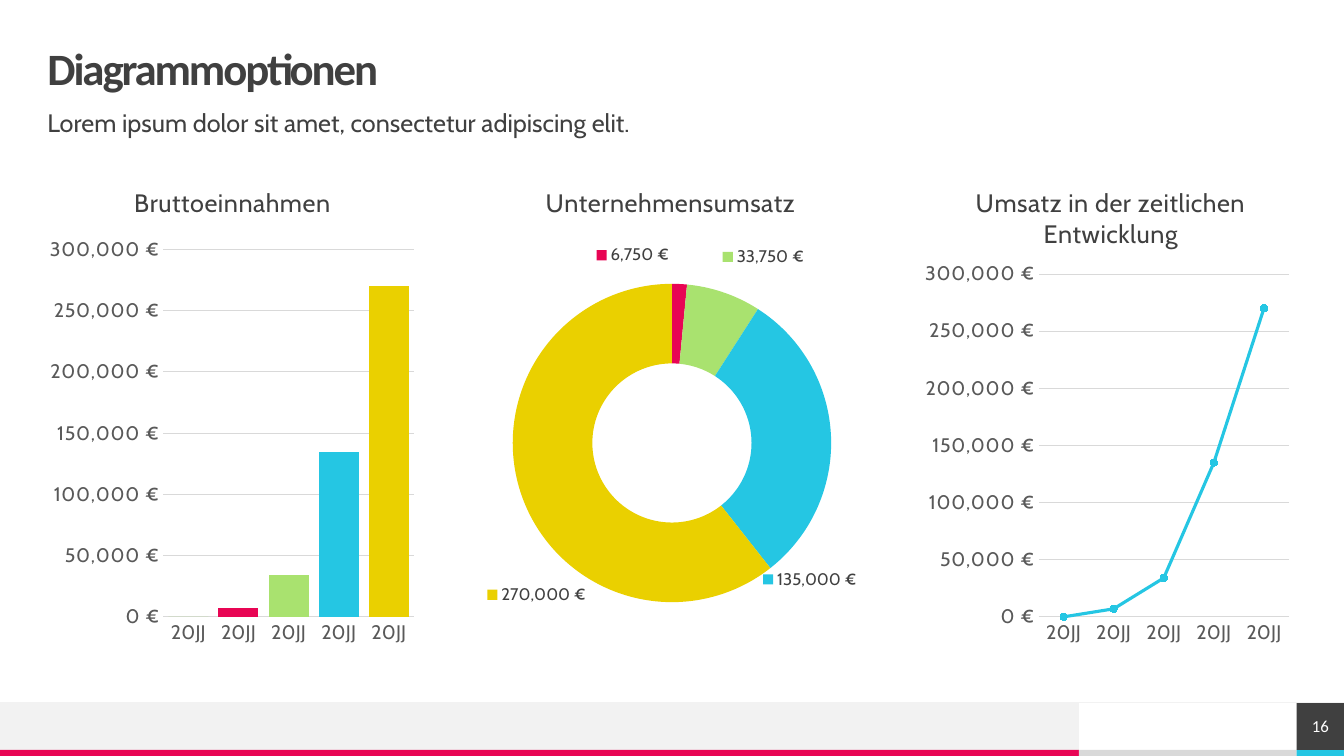
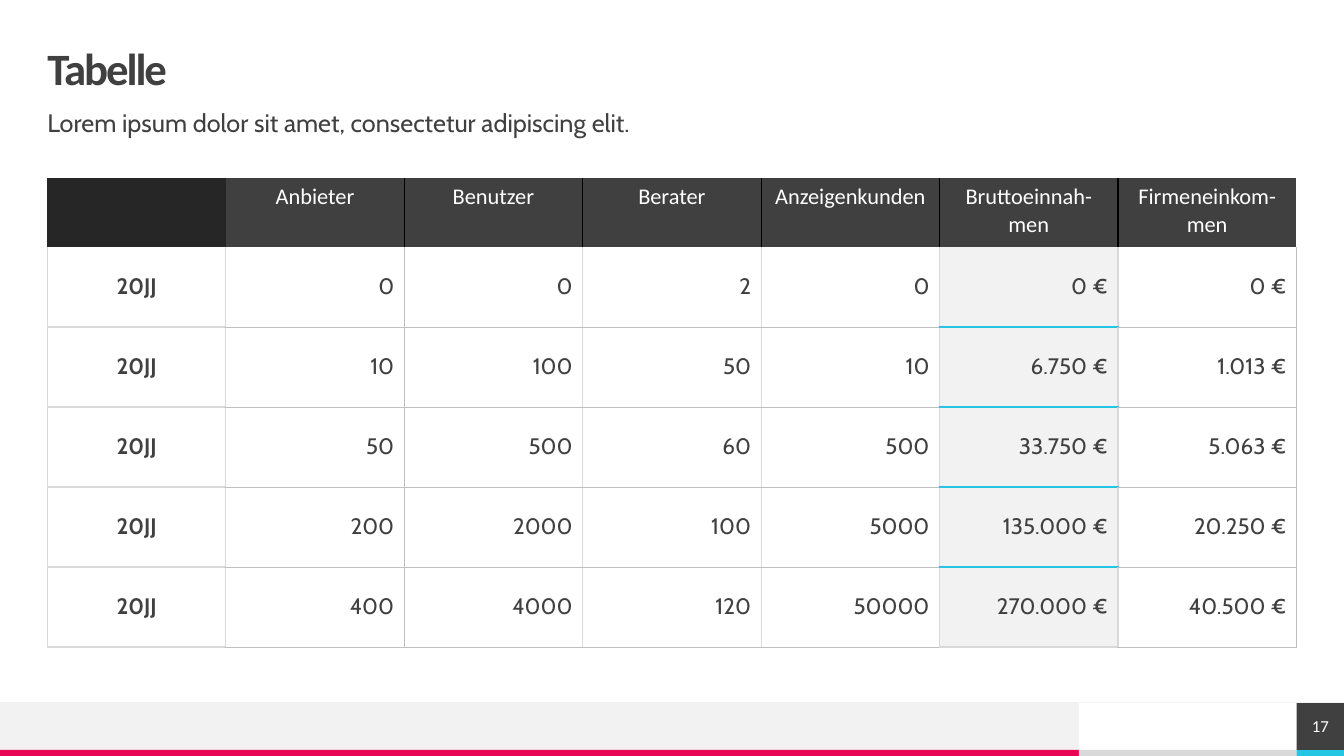
from lxml import etree
from pptx import Presentation
from pptx.chart.data import CategoryChartData
from pptx.dml.color import RGBColor
from pptx.enum.chart import XL_CHART_TYPE as Kind, XL_MARKER_STYLE as Marker, XL_TICK_MARK as Tick
from pptx.enum.shapes import MSO_CONNECTOR as Connector, MSO_SHAPE as Shape
from pptx.enum.text import MSO_ANCHOR as Anchor, PP_ALIGN as Align
from pptx.oxml import parse_xml
from pptx.oxml.ns import nsdecls, qn
from pptx.util import Inches, Pt

# Palette
DARK, GREY, PALE, WHITE = "404040", "D9D9D9", "F2F2F2", "FFFFFF"
PINK, GREEN, CYAN, YELLOW = "E80554", "A9E26F", "25C6E3", "EAD000"
AXIS_TEXT, THIN_GREY, BLACK, CORNER = "595959", "BFBFBF", "000000", "262626"
EURO = "#,##0\\ [$€-407]"


def color(hex_code):
    return RGBColor.from_string(hex_code)


def style(font, size, hex_code=DARK, name="Cabin", bold=False, spacing=0):
    font.size, font.name, font.bold = Pt(size), name, bold
    font.color.rgb = color(hex_code)
    if spacing:
        font._rPr.set("spc", str(round(spacing * 100)))


# Page grid: one margin unit all round, content between the margins
prs = Presentation()
prs.slide_width, prs.slide_height = Inches(13.33), Inches(7.5)
unit = Inches(0.47)
content_width = prs.slide_width - 2 * unit
strip_height = Inches(0.06)
strip_top = prs.slide_height - strip_height
band_top = strip_top - unit
band_width = Inches(10.7)
number_left = prs.slide_width - unit

# Frame shared by both slides
for headline, number in (("Diagrammoptionen", 16), ("Tabelle", 17)):
    slide = prs.slides.add_slide(prs.slide_layouts[5])

    # Footer band, colour strip and page number
    for left, top, width, height, fill in (
        (0, band_top, band_width, unit, PALE),
        (0, strip_top, band_width, strip_height, PINK),
        (band_width, strip_top, number_left - band_width, strip_height, GREY),
        (number_left, strip_top, unit, strip_height, CYAN),
        (number_left, band_top, unit, unit, DARK),
    ):
        block = slide.shapes.add_shape(Shape.RECTANGLE, left, top, width, height)
        block.shadow.inherit = False
        block.fill.solid()
        block.fill.fore_color.rgb = color(fill)
        block.line.fill.background()
    page = block.text_frame
    page.margin_left = page.margin_right = page.margin_top = page.margin_bottom = 0
    page.vertical_anchor = Anchor.MIDDLE
    page.text = str(number)
    page.paragraphs[0].alignment = Align.CENTER
    style(page.paragraphs[0].runs[0].font, 12, WHITE, "Calibri")

    rule = slide.shapes.add_connector(Connector.STRAIGHT, prs.slide_width, band_top, 0, band_top)
    rule.line.color.rgb = color(PALE)
    rule.line.width = Pt(0.5)
    etree.SubElement(rule._element.spPr, qn("a:effectLst"))

    # Title and subtitle
    title = slide.shapes.title
    title.left, title.top, title.width, title.height = unit, unit, content_width, unit
    subtitle = slide.shapes.add_textbox(unit, Inches(1.1), content_width, Inches(0.39))
    for box, text, anchor in (
        (title, headline, Anchor.MIDDLE),
        (subtitle, "Lorem ipsum dolor sit amet, consectetur adipiscing elit.", Anchor.TOP),
    ):
        frame = box.text_frame
        frame.word_wrap = True
        frame.margin_left = frame.margin_right = frame.margin_top = frame.margin_bottom = 0
        frame.vertical_anchor = anchor
        frame.text = text
        frame.paragraphs[0].alignment = Align.LEFT
        frame.paragraphs[0].line_spacing = 0.9
    style(title.text_frame.paragraphs[0].runs[0].font, 32, DARK, "Calibri", True, -1.5)
    style(subtitle.text_frame.paragraphs[0].runs[0].font, 18)

chart_slide, table_slide = prs.slides

# Three charts in equal columns; title corner and plot area as shares of the chart
years = ["20JJ"] * 5
revenue = [0, 7000, 34000, 135000, 270000]
sales = [0, 6750, 33750, 135000, 270000]
year_colors = [GREEN, PINK, GREEN, CYAN, YELLOW]
chart_width = Inches(3.71)
chart_step = (content_width - chart_width) / 2
charts = []
for column, (kind, heading, categories, values, title_at, plot_at) in enumerate((
    (Kind.COLUMN_CLUSTERED, "Bruttoeinnahmen", years, revenue,
     (0.22, 0.03), (0.31, 0.17, 0.67, 0.75)),
    (Kind.DOUGHNUT, "Unternehmensumsatz", list("12345"), sales,
     (0.15, 0.03), (0.07, 0.24, 0.86, 0.65)),
    (Kind.LINE_MARKERS_STACKED, "Umsatz in der zeitlichen Entwicklung", years, revenue,
     (0.13, 0.03), (0.31, 0.22, 0.67, 0.7)),
)):
    data = CategoryChartData(number_format=EURO)
    data.categories = categories
    data.add_series("Series 1", values)
    chart = chart_slide.shapes.add_chart(
        kind, round(unit + column * chart_step), Inches(1.65), chart_width, Inches(4.86), data).chart
    charts.append(chart)
    chart.has_legend = False
    style(chart.font, 10, BLACK)
    chart.chart_title.text_frame.text = heading
    style(chart.chart_title.text_frame.paragraphs[0].runs[0].font, 18, spacing=0.4)
    chart.chart_title.include_in_layout = False

    # Fixed places for the title and the plot area
    for part, inner, shares in (
        (chart.chart_title._element, "", title_at),
        (chart.plots[0]._element.getparent(), '<c:layoutTarget val="inner"/>', plot_at),
    ):
        for automatic in part.findall(qn("c:layout")):
            part.remove(automatic)
        modes = '<c:xMode val="edge"/><c:yMode val="edge"/>'
        places = "".join(f'<c:{key} val="{share}"/>' for key, share in zip("xywh", shares))
        layout = parse_xml(f'<c:layout {nsdecls("c")}><c:manualLayout>{inner}{modes}{places}'
                           "</c:manualLayout></c:layout>")
        part.insert(1 if part.tag == qn("c:title") else 0, layout)

    if kind == Kind.DOUGHNUT:
        continue
    for axis in (chart.category_axis, chart.value_axis):
        axis.major_tick_mark = axis.minor_tick_mark = Tick.NONE
        style(axis.tick_labels.font, 14, AXIS_TEXT)
    chart.category_axis.format.line.color.rgb = color(GREY)
    chart.category_axis.format.line.width = Pt(0.75)
    amounts = chart.value_axis
    style(amounts.tick_labels.font, 14, AXIS_TEXT, spacing=0.4)
    amounts.tick_labels.number_format = EURO
    amounts.tick_labels.number_format_is_linked = False
    amounts.minimum_scale, amounts.maximum_scale, amounts.major_unit = 0, 300000, 50000
    amounts.format.line.fill.background()
    amounts.major_gridlines.format.line.color.rgb = color(GREY)
    amounts.major_gridlines.format.line.width = Pt(0.75)

bars, ring, trend = charts
bars.plots[0].gap_width = 25
bars.plots[0].vary_by_categories = False
ring.plots[0].vary_by_categories = True
for chart in (bars, ring):
    for index, fill in enumerate(year_colors):
        segment = chart.plots[0].series[0].points[index].format
        segment.fill.solid()
        segment.fill.fore_color.rgb = color(fill)
        segment.line.fill.background()

# Ring labels: legend key and value, shifted out of the ring, without leader lines
ring_series = ring.plots[0].series[0]
ring_series.data_labels.show_value = False
for index, (dx, dy) in enumerate(((-0.12, -0.14), (0.14, -0.15), (0.05, 0.29), (-0.06, 0.23)), 1):
    label = ring_series.points[index].data_label
    style(label.font, 12)
    entry = label._dLbl
    entry.find(qn("c:showLegendKey")).set("val", "1")
    entry.insert(1, parse_xml(f'<c:layout {nsdecls("c")}><c:manualLayout><c:x val="{dx}"/>'
                              f'<c:y val="{dy}"/></c:manualLayout></c:layout>'))
for leader in ring.plots[0]._element.iter(qn("c:showLeaderLines")):
    leader.set("val", "0")

curve = trend.plots[0].series[0]
curve.smooth = False
curve.format.line.color.rgb = color(CYAN)
curve.format.line.width = Pt(2.25)
curve.marker.style, curve.marker.size = Marker.CIRCLE, 5
curve.marker.format.fill.solid()
curve.marker.format.fill.fore_color.rgb = color(CYAN)
curve.marker.format.line.color.rgb = color(CYAN)

# Table
rows = (
    ("", "Anbieter", "Benutzer", "Berater", "Anzeigenkunden", "Bruttoeinnah-men", "Firmeneinkom-men"),
    ("20JJ", "0", "0", "2", "0", "0 €", "0 €"),
    ("20JJ", "10", "100", "50", "10", "6.750 €", "1.013 €"),
    ("20JJ", "50", "500", "60", "500", "33.750 €", "5.063 €"),
    ("20JJ", "200", "2000", "100", "5000", "135.000 €", "20.250 €"),
    ("20JJ", "400", "4000", "120", "50000", "270.000 €", "40.500 €"),
)
last_row, last_column, highlight = len(rows) - 1, len(rows[0]) - 1, 5
table_height, header_height = Inches(4.65), Inches(0.68)
row_height = (table_height - header_height) // last_row
table = table_slide.shapes.add_table(
    len(rows), len(rows[0]), unit, Inches(1.77), content_width, table_height).table
table.first_row = table.horz_banding = False
table._tbl.tblPr.find(qn("a:tableStyleId")).text = "{2D5ABB26-0587-4C30-8999-92F81FD0307C}"
light, thin, black, accent = (GREY, 1), (THIN_GREY, 0.25), (BLACK, 1), (CYAN, 1)

for r, row in enumerate(rows):
    table.rows[r].height = row_height if r else header_height
    for c, text in enumerate(row):
        cell = table.cell(r, c)
        cell.fill.solid()
        if r == 0:
            fill = DARK if c else CORNER
        else:
            fill = PALE if c == highlight else WHITE
        cell.fill.fore_color.rgb = color(fill)
        cell.vertical_anchor = Anchor.MIDDLE if r else Anchor.TOP
        if text:
            cell.text = text
            paragraph = cell.text_frame.paragraphs[0]
            paragraph.alignment = Align.RIGHT if r and c else Align.CENTER
            style(paragraph.runs[0].font, 16, DARK if r else WHITE,
                  "Cabin" if r else "Calibri", bold=r > 0 and c == 0)

        # Borders: vertical edges c and c + 1, horizontal edges r and r + 1
        edges = {}
        for side, edge in (("L", c), ("R", c + 1)):
            if r:
                edges[side] = thin if edge in (2, last_column + 1) else light
            elif 1 < edge <= last_column:
                edges[side] = black
        for side, edge in (("T", r), ("B", r + 1)):
            if edge > 1:
                inner = accent if edge <= last_row else light
                edges[side] = light if c == 0 else inner if c == highlight else thin
        properties = cell._tc.get_or_add_tcPr()
        for position, (side, (hex_code, points)) in enumerate(edges.items()):
            properties.insert(position, parse_xml(
                f'<a:ln{side} {nsdecls("a")} w="{Pt(points)}"><a:solidFill>'
                f'<a:srgbClr val="{hex_code}"/></a:solidFill></a:ln{side}>'))

prs.save("out.pptx")
